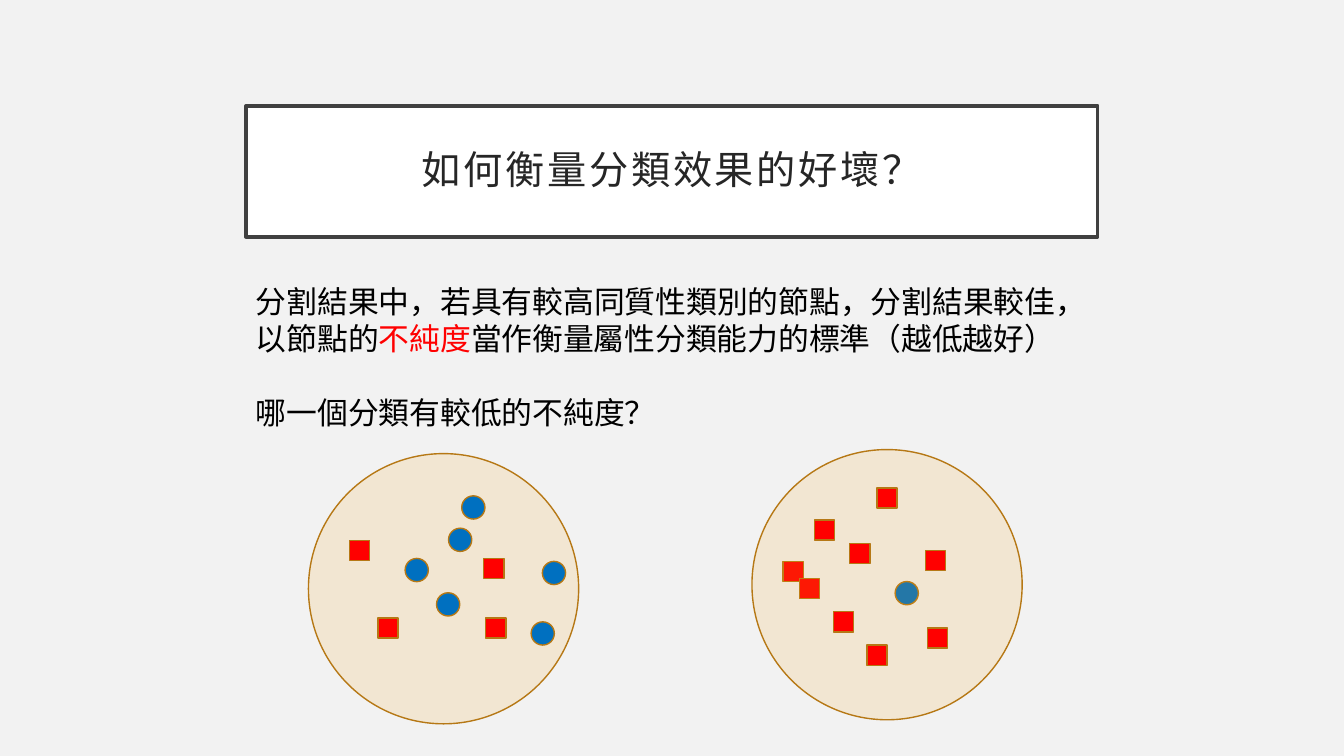
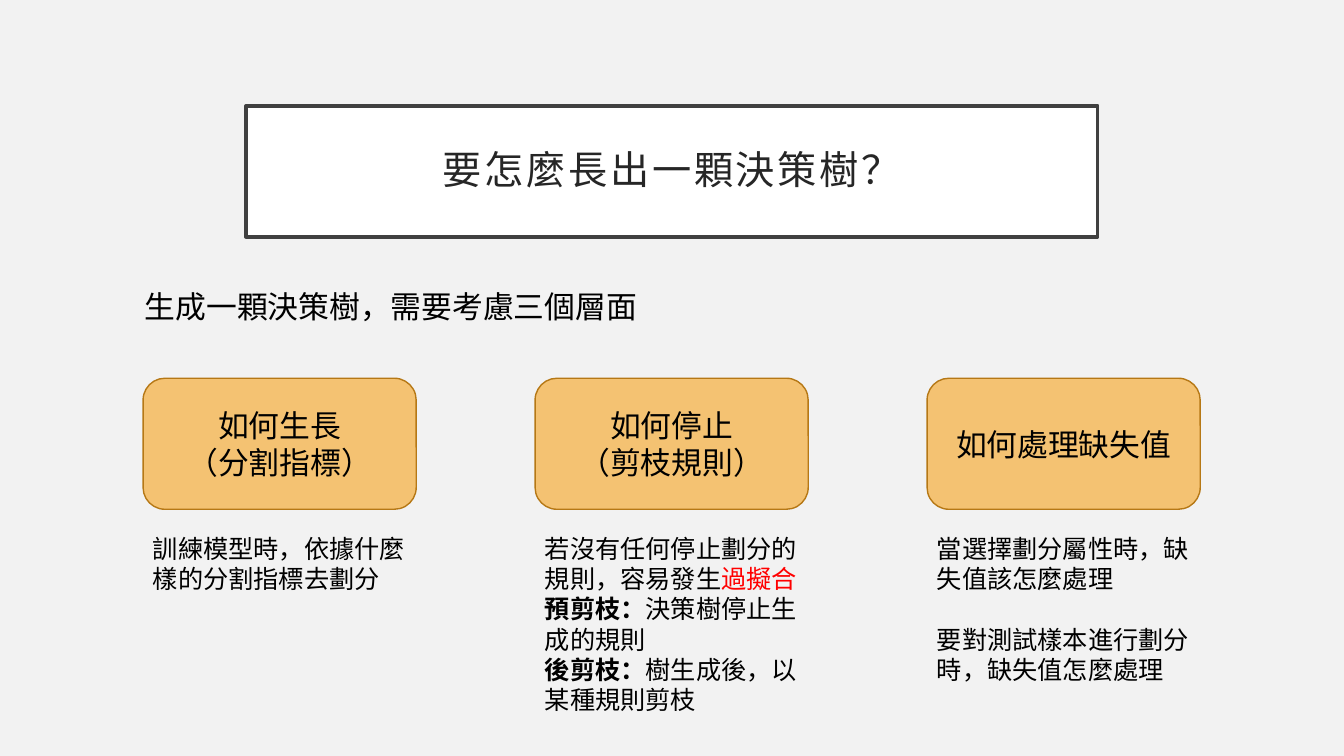
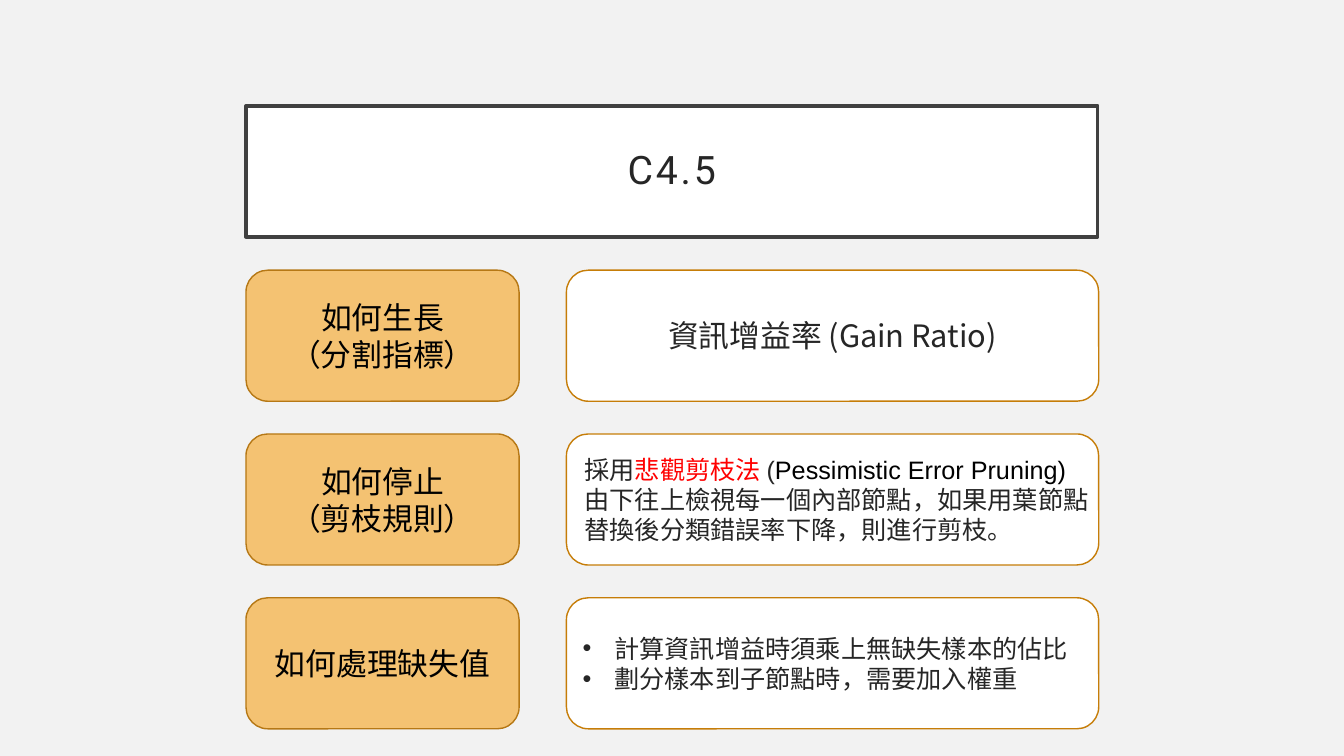
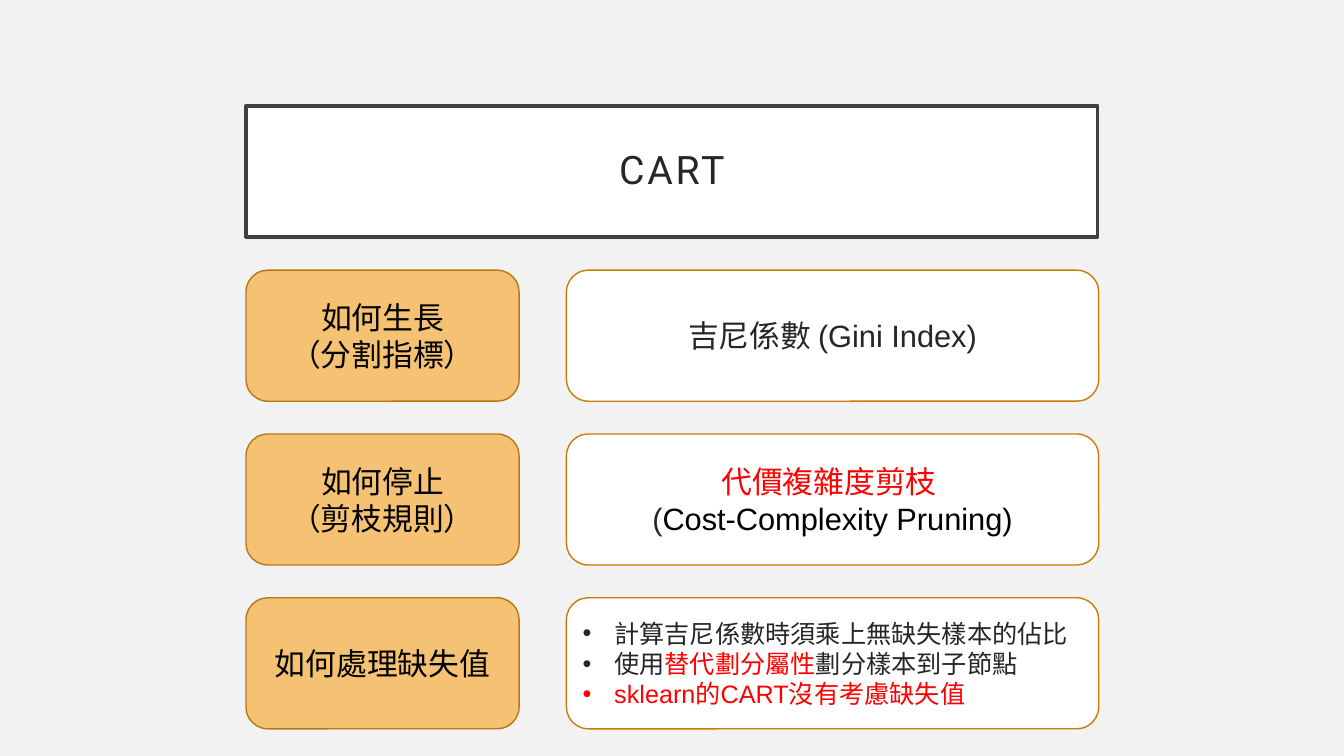
from dataclasses import dataclass

from lxml.etree import SubElement
from pptx import Presentation
from pptx.dml.color import RGBColor
from pptx.enum.shapes import MSO_SHAPE
from pptx.enum.text import MSO_ANCHOR, PP_ALIGN
from pptx.oxml.ns import qn
from pptx.util import Pt


@dataclass(frozen=True)
class Theme:
    page: str = "F2F2F2"
    white: str = "FFFFFF"
    frame: str = "404040"
    ink: str = "000000"
    soft: str = "262626"
    red: str = "FF0000"
    blue: str = "0070C0"
    amber: str = "F6A21D"
    amber_edge: str = "B67815"
    answer_edge: str = "C67D08"
    heading: str = "Roboto"
    cjk: str = "Noto Sans CJK TC"
    latin: str = "Arial"
    title_size: float = 28
    large: float = 22
    small: float = 18
    leading: float = 1.2


@dataclass
class Paragraph:
    runs: tuple
    gap: bool = False
    bullet: bool = False


THEME = Theme()
STYLES = {
    "ink": (THEME.ink, THEME.cjk, False),
    "strong": (THEME.ink, THEME.cjk, True),
    "alert": (THEME.red, THEME.cjk, False),
    "soft": (THEME.soft, THEME.cjk, False),
    "soft latin": (THEME.soft, THEME.latin, False),
    "ink latin": (THEME.ink, THEME.latin, False),
    "alert latin": (THEME.red, THEME.latin, False),
}


def para(*runs, gap=False, bullet=False):
    return Paragraph(runs, gap, bullet)


def plain(text, gap=False):
    return para((text, "ink"), gap=gap)


ASPECTS = [
    [plain("如何生長"), plain("（分割指標）")],
    [plain("如何停止"), plain("（剪枝規則）")],
    [plain("如何處理缺失值")],
]

IMPURITY_TITLE = "如何衡量分類效果的好壞？"
IMPURITY_TEXT = [
    plain("分割結果中，若具有較高同質性類別的節點，分割結果較佳，"),
    para(("以節點的", "ink"), ("不純度", "alert"),
         ("當作衡量屬性分類能力的標準（越低越好）", "ink")),
    plain("哪一個分類有較低的不純度？", gap=True),
]
NODES = [
    {
        "at": (220.3, 324),
        "behind": [],
        "front": [
            ("blue", 387.4, 401), ("red", 249.8, 385.9), ("blue", 311.8, 423.4),
            ("blue", 320.4, 377.3), ("blue", 379.4, 444.2), ("blue", 289.4, 398.9),
            ("blue", 329.8, 354.2), ("red", 347, 441.4), ("red", 270, 441.4),
            ("red", 345.6, 398.9),
        ],
    },
    {
        "at": (537.1, 321.1),
        "behind": [("blue", 639.4, 415.4), ("red", 559.4, 401), ("red", 571, 413.3)],
        "front": [
            ("red", 607, 388.1), ("red", 595.4, 437), ("red", 619.2, 460.8),
            ("red", 626.4, 348.5), ("red", 661, 393.1), ("red", 662.4, 448.6),
            ("red", 581.8, 371.5),
        ],
    },
]
SAMPLES = {
    "blue": (MSO_SHAPE.OVAL, 16.6, THEME.blue),
    "red": (MSO_SHAPE.RECTANGLE, 14.4, THEME.red),
}

GROWING_TITLE = "要怎麼長出一顆決策樹？"
GROWING_TEXT = [plain("生成一顆決策樹，需要考慮三個層面")]
EXPLANATIONS = [
    [plain("訓練模型時，依據什麼樣的分割指標去劃分")],
    [
        para(("若沒有任何停止劃分的規則，容易發生", "ink"), ("過擬合", "alert")),
        para(("預剪枝：", "strong"), ("決策樹停止生成的規則", "ink")),
        para(("後剪枝：", "strong"), ("樹生成後，以某種規則剪枝", "ink")),
    ],
    [
        plain("當選擇劃分屬性時，缺失值該怎麼處理"),
        plain("要對測試樣本進行劃分時，缺失值怎麼處理", gap=True),
    ],
]

ALGORITHMS = [
    ("C4.5", [
        (THEME.large, PP_ALIGN.CENTER, [para(("資訊增益率 (Gain Ratio)", "soft"))]),
        (THEME.small, PP_ALIGN.LEFT, [
            para(("採用", "soft"), ("悲觀剪枝法 ", "alert"), ("(", "soft latin"),
                 ("Pessimistic Error Pruning)", "ink latin")),
            para(("由下往上檢視每一個內部節點，如果用葉節點替換後分類錯誤率下降，則進行剪枝。",
                  "soft latin")),
        ]),
        (THEME.small, PP_ALIGN.LEFT, [
            para(("計算資訊增益時須乘上無缺失樣本的佔比", "soft latin"), bullet=True),
            para(("劃分樣本到子節點時，需要加入權重", "soft latin"), bullet=True),
        ]),
    ]),
    ("CART", [
        (THEME.large, PP_ALIGN.CENTER,
         [para(("吉尼係數 ", "soft"), ("(Gini Index)", "soft latin"))]),
        (THEME.large, PP_ALIGN.CENTER, [
            para(("代價複雜度剪枝 ", "alert")),
            para(("(", "soft latin"), ("Cost-Complexity Pruning)", "ink latin")),
        ]),
        (THEME.small, PP_ALIGN.LEFT, [
            para(("計算吉尼係數時須乘上無缺失樣本的佔比", "soft latin"), bullet=True),
            para(("使用", "soft latin"), ("替代劃分屬性", "alert latin"),
                 ("劃分樣本到子節點", "soft latin"), bullet=True),
            para(("sklearn的CART沒有考慮缺失值", "alert latin"), bullet=True),
        ]),
    ]),
]

MARGIN = 175.7
TITLE_TOP = 75.6
TITLE_WIDTH = 608.4
TEXT_WIDTH = 612
CARD_WIDTH, CARD_HEIGHT = 195.1, 93.6
NODE_SIZE = 193
COLUMN_LEFT, COLUMN_PITCH = 102.2, 280
ASPECT_TOP, EXPLANATION_TOP = 270.2, 377.3
ROW_TOP, ROW_PITCH = 193, 117
ANSWER_LEFT, ANSWER_WIDTH = 404.6, 380.2
BULLET_INDENT = 22.5


def paint(shape, fill, edge, edge_width=1, opacity=100):
    shape.fill.solid()
    shape.fill.fore_color.rgb = RGBColor.from_string(fill)
    if opacity < 100:
        colour = shape._element.spPr.find(".//" + qn("a:srgbClr"))
        SubElement(colour, qn("a:alpha"), val=str(opacity * 1000))
    shape.line.color.rgb = RGBColor.from_string(edge)
    shape.line.width = Pt(edge_width)


def add_run(paragraph, text, size, colour, font, bold=False):
    run = paragraph.add_run()
    run.text = text
    run.font.size = Pt(size)
    run.font.bold = bold
    run.font.name = font
    run.font.color.rgb = RGBColor.from_string(colour)
    SubElement(run.font._element, qn("a:ea"), typeface=THEME.cjk)
    return run


def write(frame, paragraphs, size, align=PP_ALIGN.LEFT):
    frame.word_wrap = True
    for index, content in enumerate(paragraphs):
        paragraph = frame.add_paragraph() if index else frame.paragraphs[0]
        paragraph.alignment = align
        paragraph.line_spacing = Pt(size * THEME.leading)
        if content.gap:
            paragraph.space_before = Pt(size * THEME.leading)
        if content.bullet:
            properties = paragraph._p.get_or_add_pPr()
            properties.set("marL", str(Pt(BULLET_INDENT)))
            properties.set("indent", str(-Pt(BULLET_INDENT)))
            SubElement(properties, qn("a:buFont"), typeface=THEME.latin)
            SubElement(properties, qn("a:buChar"), char="•")
        for text, style in content.runs:
            add_run(paragraph, text, size, *STYLES[style])


def add_text(slide, left, top, width, height, paragraphs, size):
    box = slide.shapes.add_textbox(Pt(left), Pt(top), Pt(width), Pt(height))
    write(box.text_frame, paragraphs, size)


def add_figure(slide, preset, left, top, width, height, fill, edge, opacity=100):
    figure = slide.shapes.add_shape(preset, Pt(left), Pt(top), Pt(width), Pt(height))
    figure.shadow.inherit = False
    paint(figure, fill, edge, opacity=opacity)
    return figure


def add_card(slide, left, top, width, fill, edge, opacity, paragraphs, size, align):
    card = add_figure(slide, MSO_SHAPE.ROUNDED_RECTANGLE, left, top, width,
                      CARD_HEIGHT, fill, edge, opacity)
    card.text_frame.vertical_anchor = MSO_ANCHOR.MIDDLE
    write(card.text_frame, paragraphs, size, align)
    return card


def add_aspect(slide, left, top, paragraphs):
    add_card(slide, left, top, CARD_WIDTH, THEME.amber, THEME.amber_edge, 60,
             paragraphs, THEME.large, PP_ALIGN.CENTER)


def add_titled_slide(deck, heading):
    slide = deck.slides.add_slide(deck.slide_layouts[5])
    title = slide.shapes.title
    title.left, title.top = Pt(MARGIN), Pt(TITLE_TOP)
    title.width, title.height = Pt(TITLE_WIDTH), Pt(CARD_HEIGHT)
    paint(title, THEME.white, THEME.frame, 2.5)
    frame = title.text_frame
    frame.word_wrap = True
    frame.vertical_anchor = MSO_ANCHOR.MIDDLE
    frame.margin_left = frame.margin_right = Pt(14.4)
    frame.margin_top = frame.margin_bottom = Pt(14.4)
    paragraph = frame.paragraphs[0]
    paragraph.alignment = PP_ALIGN.CENTER
    paragraph.line_spacing = 0.9
    run = add_run(paragraph, heading, THEME.title_size, THEME.soft, THEME.heading)
    run.font._element.set("spc", "200")
    return slide


def add_samples(slide, samples):
    for kind, left, top in samples:
        preset, size, fill = SAMPLES[kind]
        add_figure(slide, preset, left, top, size, size, fill, THEME.amber_edge)


def build_impurity(deck):
    slide = add_titled_slide(deck, IMPURITY_TITLE)
    for node in NODES:
        add_samples(slide, node["behind"])
        add_figure(slide, MSO_SHAPE.OVAL, *node["at"], NODE_SIZE, NODE_SIZE,
                   THEME.amber, THEME.amber_edge, 15)
        add_samples(slide, node["front"])
    add_text(slide, MARGIN, 198.7, TEXT_WIDTH, 113.8, IMPURITY_TEXT, THEME.large)


def build_growing(deck):
    slide = add_titled_slide(deck, GROWING_TITLE)
    add_text(slide, 96.5, 202.3, TEXT_WIDTH, 33.8, GROWING_TEXT, THEME.large)
    for column, (aspect, explanation) in enumerate(zip(ASPECTS, EXPLANATIONS)):
        left = COLUMN_LEFT + column * COLUMN_PITCH
        add_aspect(slide, left, ASPECT_TOP, aspect)
        add_text(slide, left, EXPLANATION_TOP, CARD_WIDTH, 138, explanation, THEME.small)


def build_algorithm(deck, name, answers):
    slide = add_titled_slide(deck, name)
    for row, (aspect, (size, align, answer)) in enumerate(zip(ASPECTS, answers)):
        top = ROW_TOP + row * ROW_PITCH
        add_aspect(slide, MARGIN, top, aspect)
        card = add_card(slide, ANSWER_LEFT, top, ANSWER_WIDTH, THEME.white,
                        THEME.answer_edge, 100, answer, size, align)
        if align == PP_ALIGN.LEFT and not answer[0].bullet:
            card.text_frame.margin_left = Pt(8.4)
            card.text_frame.margin_right = Pt(0)


def main():
    deck = Presentation()
    deck.slide_width, deck.slide_height = Pt(960), Pt(540)
    backdrop = deck.slide_master.background.fill
    backdrop.solid()
    backdrop.fore_color.rgb = RGBColor.from_string(THEME.page)
    build_impurity(deck)
    build_growing(deck)
    for name, answers in ALGORITHMS:
        build_algorithm(deck, name, answers)
    deck.save("out.pptx")


if __name__ == "__main__":
    main()
